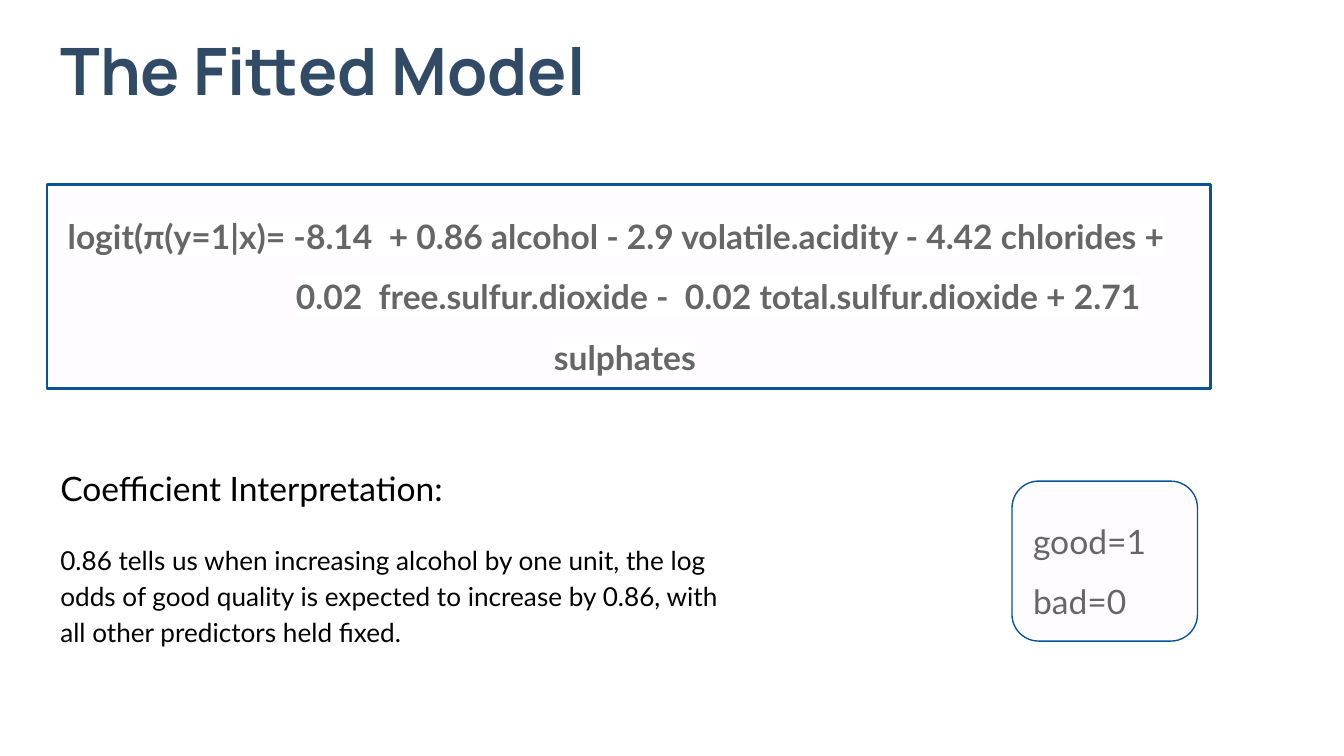
"""Build the slide that states the fitted wine quality model and reads one coefficient."""
from lxml import etree
from pptx import Presentation
from pptx.dml.color import RGBColor
from pptx.enum import shapes, text
from pptx.oxml import ns
from pptx.util import Inches, Pt

COLORS = {"title": "314B67", "body": "000000", "muted": "666666",
          "panel": "FFFCFF", "border": "0B5394", "highlight": "FFFFFF"}

TITLE = [dict(words="The Fitted Model", size=35, color="title", font="Manrope",
              bold=True, spacing=0.9)]
FORMULA = [
    dict(words=words, size=18, color="muted", bold=True, spacing=1.5,
         align=text.PP_ALIGN.CENTER, highlight="highlight",
         margins={"marL": left, "marR": right})
    for words, left, right in [
        ("logit(π(y=1|x)= -8.14  + 0.86 alcohol - 2.9 volatile.acidity - 4.42 chlorides +",
         0, 0.19),
        ("0.02  free.sulfur.dioxide -  0.02 total.sulfur.dioxide + 2.71", 1.33, 0),
        ("sulphates", 0, 0.06),
    ]
]
INTERPRETATION = [
    dict(words="Coefficient Interpretation:", size=18, color="body"),
    dict(words="0.86 tells us when increasing alcohol by one unit, the log odds of good "
               "quality is expected to increase by 0.86, with all other predictors held fixed.",
         size=14, color="body", spacing=1.15, before=17),
]
CODING = [dict(words=words, size=18, color="muted", spacing=1.5)
          for words in ("good=1", "bad=0")]


def rgb(name):
    return RGBColor.from_string(COLORS[name])


def write(frame, lines, insets=(0.1, 0.1, 0.1, 0.1), anchor=text.MSO_ANCHOR.TOP):
    frame.word_wrap = True
    frame.vertical_anchor = anchor
    (frame.margin_left, frame.margin_top,
     frame.margin_right, frame.margin_bottom) = map(Inches, insets)
    for index, line in enumerate(lines):
        paragraph = frame.add_paragraph() if index else frame.paragraphs[0]
        run = paragraph.add_run()
        run.text = line["words"]
        paragraph.alignment = line.get("align", text.PP_ALIGN.LEFT)
        paragraph.line_spacing = line.get("spacing", 1.0)
        if "before" in line:
            paragraph.space_before = Pt(line["before"])
        for side, inches in line.get("margins", {}).items():
            paragraph._p.get_or_add_pPr().set(side, str(Inches(inches)))
        font = paragraph.font
        font.name = line.get("font", "Lato")
        font.size = Pt(line["size"])
        font.bold = line.get("bold", False)
        font.color.rgb = rgb(line["color"])
        if "highlight" in line:
            mark = etree.SubElement(run._r.get_or_add_rPr(), ns.qn("a:highlight"))
            etree.SubElement(mark, ns.qn("a:srgbClr"), val=COLORS[line["highlight"]])


def add_text(slide, box, lines, **layout):
    write(slide.shapes.add_textbox(*map(Inches, box)).text_frame, lines, **layout)


def add_panel(slide, preset, box, border_width, lines):
    panel = slide.shapes.add_shape(preset, *map(Inches, box))
    panel.shadow.inherit = False
    panel.fill.solid()
    panel.fill.fore_color.rgb = rgb("panel")
    panel.line.color.rgb = rgb("border")
    panel.line.width = Pt(border_width)
    write(panel.text_frame, lines, anchor=text.MSO_ANCHOR.MIDDLE)


def main():
    deck = Presentation()
    deck.slide_width = Inches(10)
    deck.slide_height = deck.slide_width * 9 // 16
    slide = deck.slides.add_slide(deck.slide_layouts[6])
    add_text(slide, (0.45, 0.21, 8.18, 0.67), TITLE, insets=(0, 0.08, 0, 0))
    add_text(slide, (0.35, 3.38, 5.28, 1.81), INTERPRETATION)
    add_panel(slide, shapes.MSO_SHAPE.RECTANGLE, (0.35, 1.37, 8.66, 1.52), 1.5, FORMULA)
    add_panel(slide, shapes.MSO_SHAPE.ROUNDED_RECTANGLE, (7.53, 3.58, 1.38, 1.19), 0.75, CODING)
    deck.save("out.pptx")


if __name__ == "__main__":
    main()
